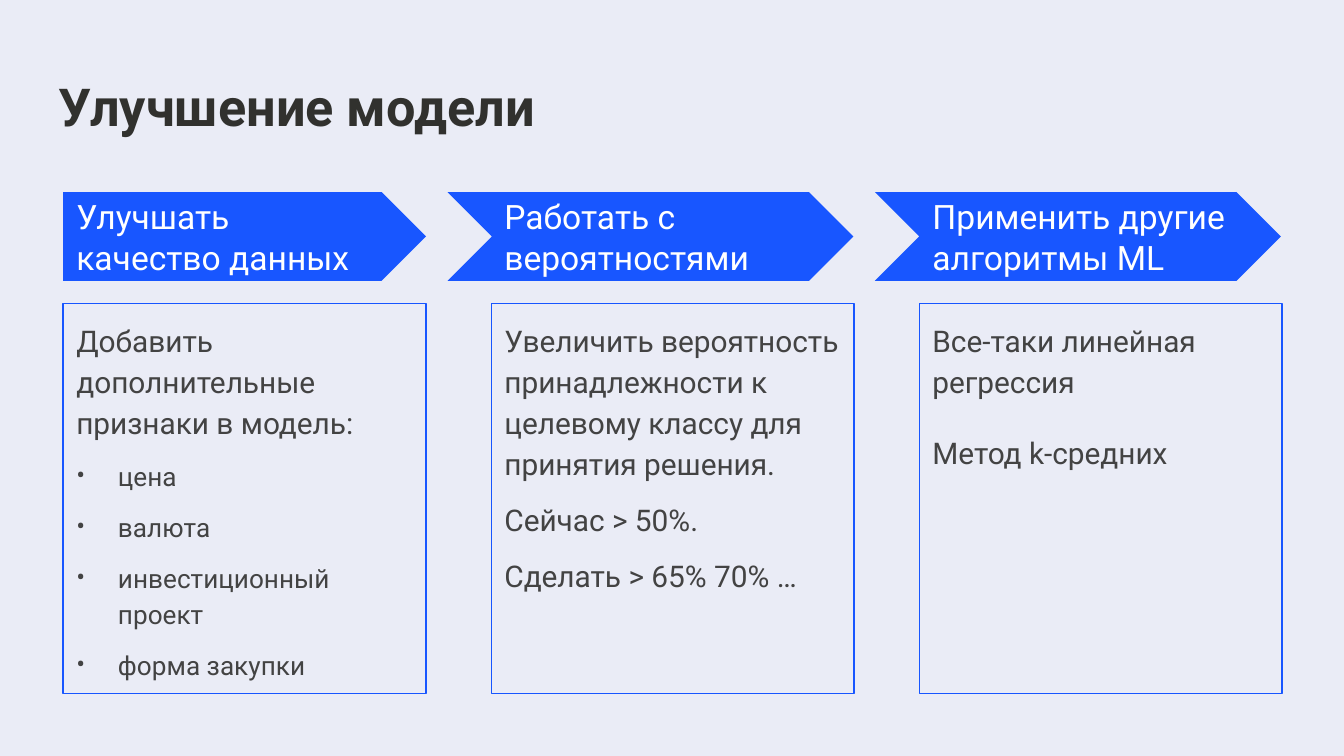
import dataclasses

import lxml.etree
import pptx
import pptx.dml.color
import pptx.enum.shapes
import pptx.enum.text
import pptx.oxml.ns
import pptx.util

TITLE = "Улучшение модели"
COLUMNS = [
    {
        "heading": "Улучшать качество данных",
        "lines": ["Добавить дополнительные признаки в модель:"],
        "bullets": ["цена", "валюта", "инвестиционный проект", "форма закупки"],
        "last_before": 8,
        "last_after": 8,
    },
    {
        "heading": "Работать с вероятностями",
        "lines": [
            "Увеличить вероятность принадлежности к целевому классу для принятия решения.",
            "Сейчас > 50%.",
            "Сделать > 65% 70% …",
        ],
        "bullets": [],
        "last_before": 8,
        "last_after": 0,
    },
    {
        "heading": "Применить другие алгоритмы ML",
        "lines": ["Все-таки линейная регрессия", "Метод k-средних"],
        "bullets": [],
        "last_before": 16,
        "last_after": 8,
    },
]


@dataclasses.dataclass(frozen=True)
class Theme:
    font: str = "Roboto"
    background: str = "EAECF6"
    accent: str = "1856FF"
    title: str = "31312E"
    heading: str = "FFFFFF"
    body: str = "434343"
    title_size: int = 28
    heading_size: int = 18
    line_size: int = 16
    bullet_size: int = 14
    border: float = 0.75
    line_spacing: float = 1.15
    space: int = 8


THEME = Theme()
SLIDE_WIDTH = 10
SLIDE_HEIGHT = SLIDE_WIDTH * 9 / 16
LEFT, LAST_LEFT, CARD_WIDTH = 0.47, 6.84, 2.7
CARD_STEP = (LAST_LEFT - LEFT) / (len(COLUMNS) - 1)
ARROW_STEP, ARROW_TOP, ARROW_HEIGHT, NOTCH = 3.18, 1.43, 0.66, 0.32
LABEL_WIDTH, LABEL_HEIGHT = 2.47, 0.34
CARD_TOP, CARD_HEIGHT = 2.26, 2.9
INSET, BULLET_INDENT = 0.1, 0.31
SHAPES = pptx.enum.shapes.MSO_SHAPE
ANCHORS = pptx.enum.text.MSO_ANCHOR


def color(value):
    return pptx.dml.color.RGBColor.from_string(value)


def inches(*lengths):
    return [pptx.util.Inches(length) for length in lengths]


def prepare_frame(box, anchor=ANCHORS.TOP):
    frame = box.text_frame
    frame.word_wrap = True
    frame.vertical_anchor = anchor
    frame.margin_left = frame.margin_right = pptx.util.Inches(INSET)
    frame.margin_top = frame.margin_bottom = pptx.util.Inches(INSET)
    return frame


def add_span(para, text, size, shade, bold=False):
    para.alignment = pptx.enum.text.PP_ALIGN.LEFT
    span = para.add_run()
    span.text = text
    span.font.name = THEME.font
    span.font.size = pptx.util.Pt(size)
    span.font.bold = bold
    span.font.color.rgb = color(shade)


def add_label(page, area, text, size, shade, bold=False, anchor=ANCHORS.TOP):
    box = page.shapes.add_textbox(*inches(*area))
    add_span(prepare_frame(box, anchor).paragraphs[0], text, size, shade, bold)


def add_shape(page, kind, area):
    shape = page.shapes.add_shape(kind, *inches(*area))
    shape.shadow.inherit = False
    return shape


def add_bullet(para):
    properties = para._p.get_or_add_pPr()
    indent = pptx.util.Inches(BULLET_INDENT)
    properties.set("marL", str(indent))
    properties.set("indent", str(-indent))
    qn = pptx.oxml.ns.qn
    shade = lxml.etree.SubElement(properties, qn("a:buClr"))
    lxml.etree.SubElement(shade, qn("a:srgbClr"), val=THEME.body)
    lxml.etree.SubElement(properties, qn("a:buFont"), typeface=THEME.font)
    lxml.etree.SubElement(properties, qn("a:buChar"), char="•")


def add_arrow(page, index):
    kind = SHAPES.CHEVRON if index else SHAPES.PENTAGON
    notch = NOTCH if index else 0
    left = LEFT + index * ARROW_STEP - notch
    arrow = add_shape(page, kind, (left, ARROW_TOP, CARD_WIDTH + notch, ARROW_HEIGHT))
    arrow.adjustments[0] = 0.5
    arrow.fill.solid()
    arrow.fill.fore_color.rgb = color(THEME.accent)
    arrow.line.fill.background()


def add_heading(page, left, heading):
    top = ARROW_TOP + (ARROW_HEIGHT - LABEL_HEIGHT) / 2
    add_label(page, (left, top, LABEL_WIDTH, LABEL_HEIGHT), heading,
              THEME.heading_size, THEME.heading, anchor=ANCHORS.MIDDLE)


def add_card(page, left, column):
    card = add_shape(page, SHAPES.RECTANGLE, (left, CARD_TOP, CARD_WIDTH, CARD_HEIGHT))
    card.fill.background()
    card.line.color.rgb = color(THEME.accent)
    card.line.width = pptx.util.Pt(THEME.border)
    frame = prepare_frame(card)
    entries = [(text, False) for text in column["lines"]]
    entries += [(text, True) for text in column["bullets"]]
    for number, (text, bulleted) in enumerate(entries):
        para = frame.add_paragraph() if number else frame.paragraphs[0]
        last = number == len(entries) - 1
        para.line_spacing = THEME.line_spacing
        para.space_before = pptx.util.Pt(column["last_before"] if last else THEME.space)
        para.space_after = pptx.util.Pt(column["last_after"] if last else 0)
        if bulleted:
            add_bullet(para)
        size = THEME.bullet_size if bulleted else THEME.line_size
        add_span(para, text, size, THEME.body)


def main():
    deck = pptx.Presentation()
    deck.slide_width, deck.slide_height = inches(SLIDE_WIDTH, SLIDE_HEIGHT)
    page = deck.slides.add_slide(deck.slide_layouts[6])
    page.background.fill.solid()
    page.background.fill.fore_color.rgb = color(THEME.background)
    add_label(page, (0.34, 0.45, 9.32, 0.66), TITLE, THEME.title_size, THEME.title, bold=True)
    for index, column in enumerate(COLUMNS):
        left = LEFT + index * CARD_STEP
        add_arrow(page, index)
        add_heading(page, left, column["heading"])
        add_card(page, left, column)
    deck.save("out.pptx")


if __name__ == "__main__":
    main()
